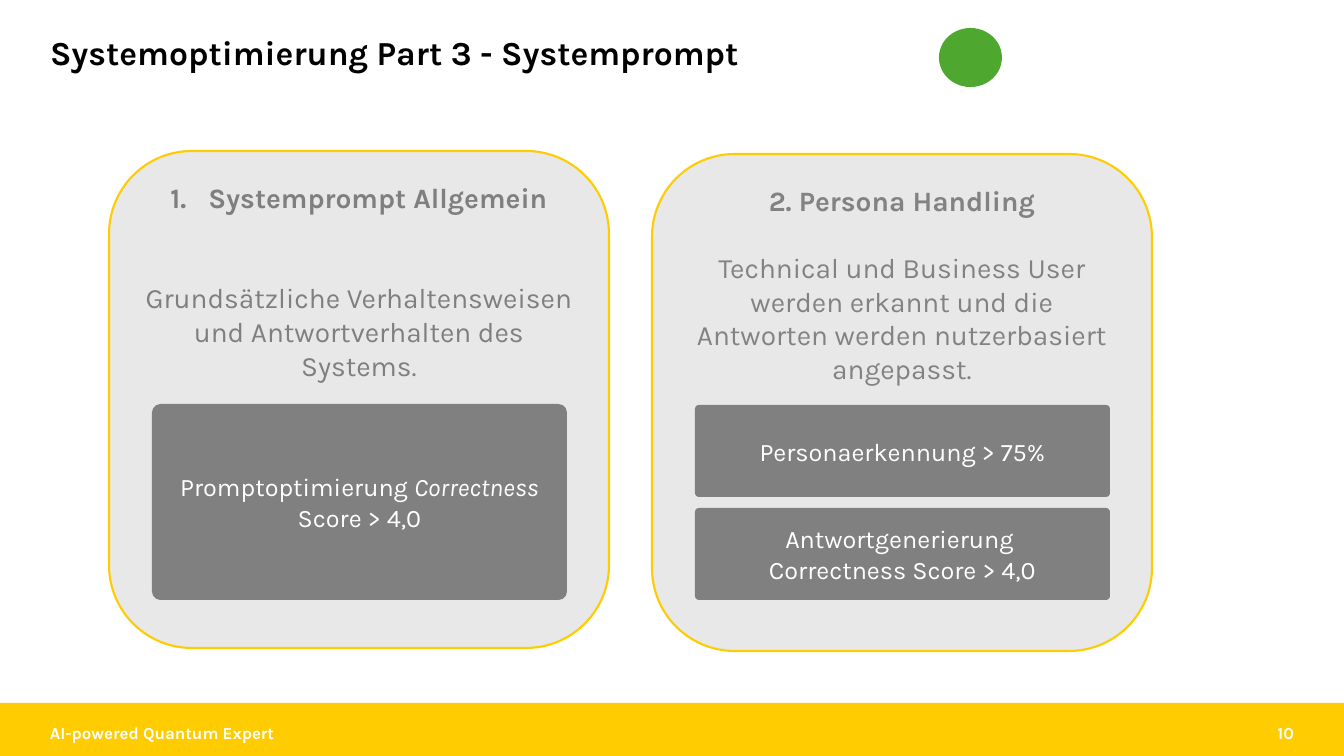
from lxml import etree
from pptx import Presentation
from pptx import util as u
from pptx.dml.color import RGBColor
from pptx.enum import shapes, text

PX = 914400 / 100.8
THEME = dict(font="Karla", yellow="FECC00", card="E8E8E8", box="818080",
             grey="7F7F7F", grey2="828282", white="FFFFFF", black="000000", green="4EA72E",
             title=24, body=20, score=18, footer=12)
KIND = shapes.MSO_SHAPE
ALIGN = text.PP_ALIGN
ANCHOR = text.MSO_ANCHOR

prs = Presentation()
prs.slide_width, prs.slide_height = int(1344 * PX), int(756 * PX)
s = prs.slides.add_slide(prs.slide_layouts[5])


def add_shape(kind, box, fill, line=None, adj=None):
    sp = s.shapes.add_shape(kind, *[int(v * PX) for v in box])
    sp.shadow.inherit = False
    sp.fill.solid()
    sp.fill.fore_color.rgb = RGBColor.from_string(THEME[fill])
    if line:
        sp.line.color.rgb = RGBColor.from_string(THEME[line])
        sp.line.width = u.Pt(1.5)
    else:
        sp.line.fill.background()
    if adj:
        sp.adjustments[0] = adj
    return sp


def write(sp, paragraphs, size, color, align=ALIGN.CENTER, anchor=ANCHOR.MIDDLE, bold=False):
    """Each paragraph is a list of (text, font format) runs."""
    tf = sp.text_frame
    tf.word_wrap = True
    tf.vertical_anchor = anchor
    for i, runs in enumerate(paragraphs):
        p = tf.paragraphs[0] if i == 0 else tf.add_paragraph()
        p.alignment = align
        for words, extra in runs:
            r = p.add_run()
            r.text = words
            r.font.color.rgb = RGBColor.from_string(THEME[color])
            look = dict(name=THEME["font"], size=u.Pt(THEME[size]), bold=bold) | extra
            for key, value in look.items():
                setattr(r.font, key, value)
    return tf


# Title
title = s.shapes.title
for key, value in dict(left=40, top=31, width=949, height=47).items():
    setattr(title, key, int(value * PX))
tf = write(title, [[("Systemoptimierung Part 3 - Systemprompt", {})]], "title", "black",
           ALIGN.LEFT, bold=True)
tf.auto_size = text.MSO_AUTO_SIZE.NONE
tf.paragraphs[0].line_spacing = 0.9

# Footer band with label and page number
add_shape(KIND.RECTANGLE, (0, 703, 1344, 53), "yellow")
for words, left, width, align in [("AI-powered Quantum Expert", 40, 454, ALIGN.LEFT),
                                  ("10", 1002, 302, ALIGN.RIGHT)]:
    sp = s.shapes.add_textbox(*[int(v * PX) for v in (left, 722, width, 21)])
    tf = write(sp, [[(words, {})]], "footer", "white", align, bold=True)
    tf.margin_top = tf.margin_bottom = 0

# Cards: numbered heading, description after a gap
cards = [
    (109, 151, "grey", "Systemprompt Allgemein", 48, True,
     "Grundsätzliche Verhaltensweisen und Antwortverhalten des Systems."),
    (652, 154, "grey2", "2. Persona Handling", 24, False,
     "Technical und Business User werden erkannt und die Antworten werden "
     "nutzerbasiert angepasst."),
]
for left, top, color, heading, gap, numbered, description in cards:
    sp = add_shape(KIND.ROUNDED_RECTANGLE, (left, top, 500, 497), "card", "yellow")
    tf = write(sp, [[(heading, {"bold": True})], [(description, {})]], "body", color,
               anchor=ANCHOR.TOP)
    tf.paragraphs[1].space_before = u.Pt(gap)
    if numbered:
        pPr = tf.paragraphs[0]._p.get_or_add_pPr()
        pPr.set("marL", "342900")
        pPr.set("indent", "-342900")
        ns = "{http://schemas.openxmlformats.org/drawingml/2006/main}"
        etree.SubElement(pPr, ns + "buFont", typeface="+mj-lt")
        etree.SubElement(pPr, ns + "buAutoNum", type="arabicPeriod")

# Target scores
scores = [
    (152, 404, 196, [[("Promptoptimierung ", {}), ("Correctness ", {"italic": True}),
                      ("Score > 4,0", {})]]),
    (695, 405, 92, [[("Personaerkennung > 75%", {})]]),
    (695, 508, 92, [[("Antwortgenerierung ", {})], [("Correctness Score > 4,0", {})]]),
]
for left, top, height, paragraphs in scores:
    sp = add_shape(KIND.ROUNDED_RECTANGLE, (left, top, 415, height), "box", adj=0.043)
    write(sp, paragraphs, "score", "white")

# Status light
add_shape(KIND.OVAL, (939, 28, 63, 59), "green")

prs.save("out.pptx")
